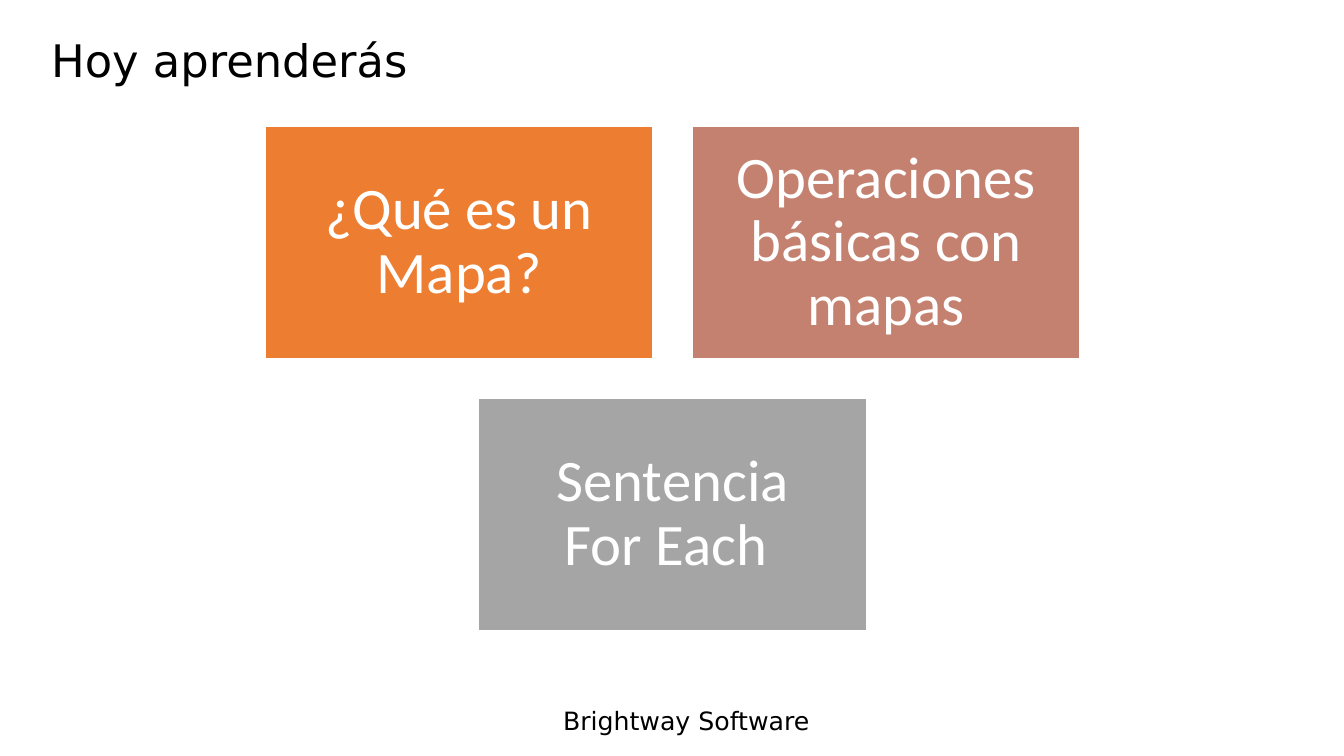
from pptx import Presentation
from pptx.util import Cm, Pt
from pptx.dml.color import RGBColor as Rgb
from pptx.enum.shapes import MSO_SHAPE as Kind
from pptx.enum.text import MSO_ANCHOR as Anchor, PP_ALIGN as Align

COLORS = {
    "black": "000000",
    "white": "FFFFFF",
    "orange": "ED7D31",
    "rose": "C48170",
    "gray": "A5A5A5",
}
TOPICS = [
    [("¿Qué es un Mapa?", "orange"), ("Operaciones básicas con mapas", "rose")],
    [("Sentencia\vFor Each ", "gray")],
]


def color(name):
    return Rgb.from_string(COLORS[name])


def style(frame, size, face, tint):
    frame.word_wrap = True
    frame.vertical_anchor = Anchor.MIDDLE
    for para in frame.paragraphs:
        for run in para.runs:
            run.font.size = Pt(size)
            run.font.name = face
            run.font.color.rgb = color(tint)


def add_label(slide, box, text, size, space=1.0):
    frame = slide.shapes.add_textbox(*map(Cm, box)).text_frame
    frame.text = text
    frame.paragraphs[0].line_spacing = space
    style(frame, size, "DejaVu Sans", "black")


def add_card(slide, box, text, fill):
    card = slide.shapes.add_shape(Kind.RECTANGLE, *map(Cm, box))
    card.shadow.inherit = False
    card.fill.solid()
    card.fill.fore_color.rgb = color(fill)
    card.line.color.rgb = color("white")
    card.line.width = Pt(1)
    frame = card.text_frame
    frame.margin_left = frame.margin_right = Cm(0.43)
    frame.margin_top = frame.margin_bottom = Cm(0.43)
    frame.text = text
    para = frame.paragraphs[0]
    para.alignment = Align.CENTER
    para.line_spacing = 0.9
    style(frame, 42, "Calibri", "white")


def add_topics(slide, box, rows, gap):
    left, top, width, height = box
    most = max(map(len, rows))
    wide = (width - gap * (most - 1)) / most
    high = (height - gap * (len(rows) - 1)) / len(rows)
    for i, row in enumerate(rows):
        start = left + (most - len(row)) * (wide + gap) / 2
        for j, (text, fill) in enumerate(row):
            spot = (start + j * (wide + gap), top + i * (high + gap), wide, high)
            add_card(slide, spot, text, fill)


deck = Presentation()
deck.slide_width = Cm(33.87)
deck.slide_height = Cm(19.05)
slide = deck.slides.add_slide(deck.slide_layouts[6])
add_label(slide, (13.94, 17.65, 7.37, 1.02), "Brightway Software", 18)
add_label(slide, (1.04, 0.38, 30.5, 2.41), "Hoy aprenderás", 32, 0.9)
add_topics(slide, (6.68, 3.18, 20.54, 12.72), TOPICS, 0.98)
deck.save("out.pptx")
